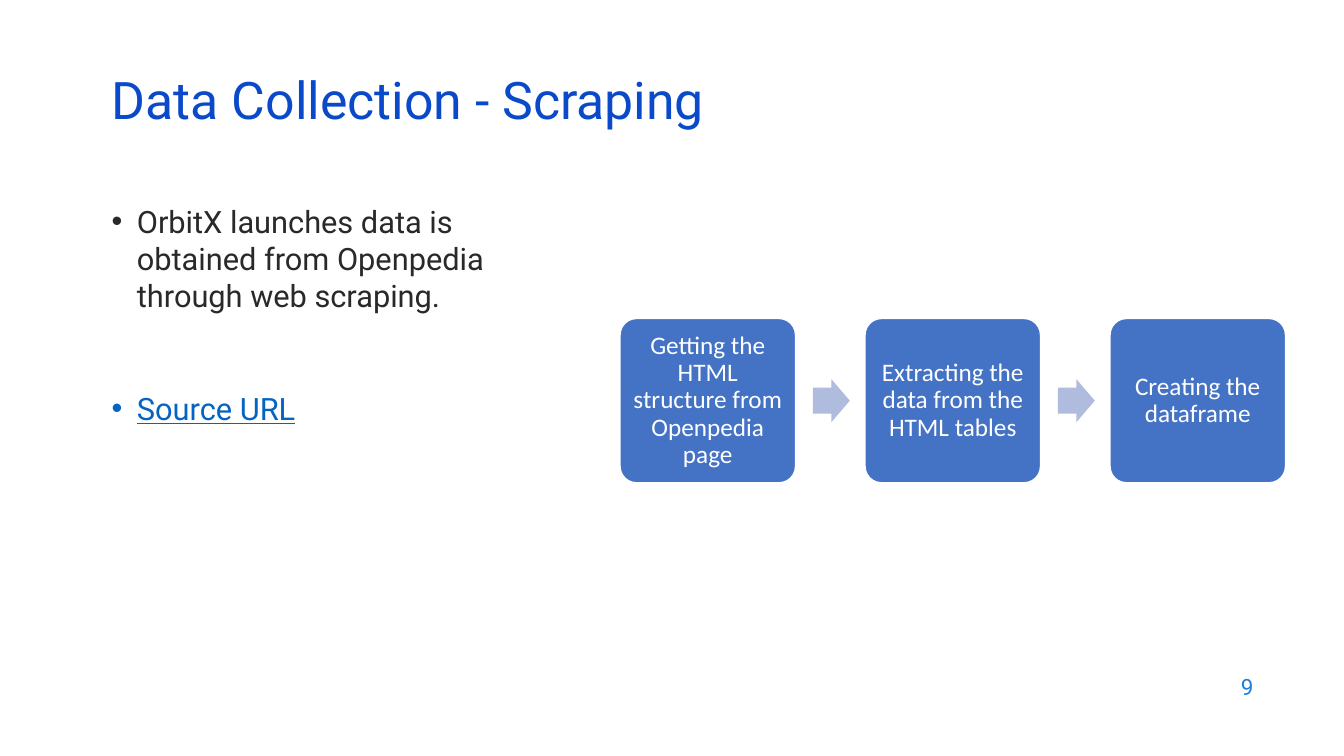
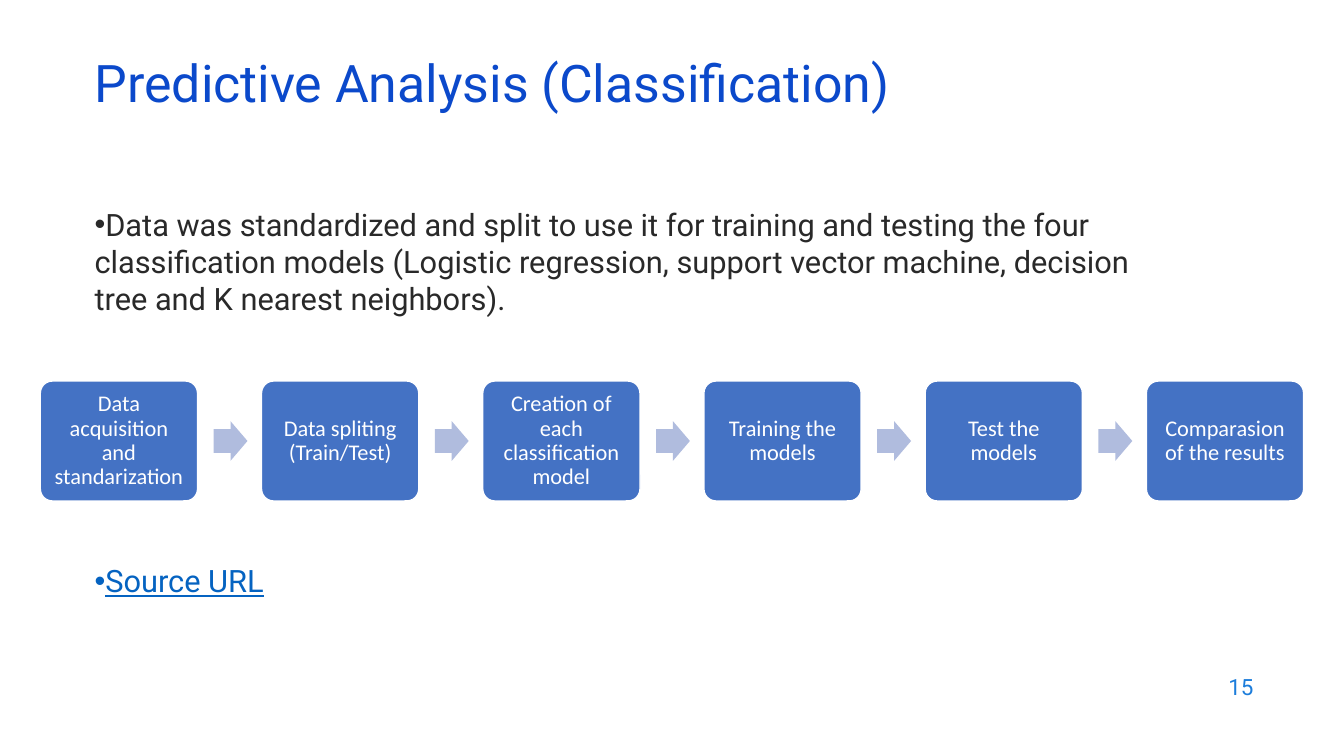
from dataclasses import dataclass

from lxml import etree
from pptx import Presentation
from pptx import util as u
from pptx.dml.color import RGBColor
from pptx.enum import shapes, text
from pptx.oxml import ns

Inches, Pt = u.Inches, u.Pt
TITLE_ONLY = 5
BODY_FONT, FLOW_FONT = "Roboto", "Calibri"
STEP_INSET = 0.07
COLORS = {
    "title": "0B49CB",
    "body": "292929",
    "link": "0563C1",
    "number": "1C7DDB",
    "step": "4472C4",
    "arrow": "B0BCDE",
    "white": "FFFFFF",
}


@dataclass(frozen=True)
class Box:
    left: float
    top: float
    width: float
    height: float

    def lengths(self) -> tuple:
        return tuple(Inches(v) for v in (self.left, self.top, self.width, self.height))


@dataclass(frozen=True)
class Bullet:
    words: str
    color: str = "body"
    underline: bool = False
    space_before: float = 0


@dataclass(frozen=True)
class Flow:
    first: Box
    right: float
    size: float
    steps: tuple[str, ...]


@dataclass(frozen=True)
class Page:
    title: str
    title_box: Box
    body_box: Box
    hanging: float
    bullets: tuple[Bullet, ...]
    flow: Flow
    number: str


NUMBER_BOX = Box(9.53, 6.59, 3, 0.44)

PAGES = (
    Page(
        "Data Collection - Scraping",
        Box(1.01, 0.76, 11.5, 0.6),
        Box(1.01, 1.96, 4.3, 4.17),
        0.25,
        (
            Bullet("OrbitX launches data is obtained from Openpedia through web scraping."),
            Bullet("Source URL", "link", True, 54.5),
        ),
        Flow(
            Box(6.15, 3.16, 1.74, 1.63), 12.75, 18,
            (
                "Getting the HTML structure from Openpedia page",
                "Extracting the data from the HTML tables",
                "Creating the dataframe",
            ),
        ),
        "9",
    ),
    Page(
        "Predictive Analysis (Classification)",
        Box(0.84, 0.59, 11.5, 0.6),
        Box(0.84, 1.99, 10.66, 4.76),
        0,
        (
            Bullet(
                "Data was standardized and split to use it for training and testing "
                "the four classification models (Logistic regression, support vector "
                "machine, decision tree and K nearest neighbors)."
            ),
            Bullet("Source URL", "link", True, 175.5),
        ),
        Flow(
            Box(0.4, 3.78, 1.56, 1.19), 12.93, 16,
            (
                "Data acquisition and standarization",
                "Data spliting (Train/Test)",
                "Creation of each classification model",
                "Training the models",
                "Test the models",
                "Comparasion of the results",
            ),
        ),
        "15",
    ),
)


def rgb(name: str) -> RGBColor:
    return RGBColor.from_string(COLORS[name])


def add_run(p, words: str, size: float, color: str, font: str = BODY_FONT):
    r = p.add_run()
    r.text = words
    r.font.size = Pt(size)
    r.font.name = font
    r.font.color.rgb = rgb(color)
    return r


def set_bullet(p, hanging: float) -> None:
    pPr = p._p.get_or_add_pPr()
    pPr.set("marL", str(Inches(hanging)))
    pPr.set("indent", str(-Inches(hanging)))
    etree.SubElement(pPr, ns.qn("a:buFont")).set("typeface", "Arial")
    etree.SubElement(pPr, ns.qn("a:buChar")).set("char", "•")


def add_title(s, words: str, box: Box) -> None:
    sp = s.shapes.title
    sp.left, sp.top, sp.width, sp.height = box.lengths()
    tf = sp.text_frame
    tf.word_wrap = True
    tf.auto_size = text.MSO_AUTO_SIZE.NONE
    tf.vertical_anchor = text.MSO_ANCHOR.MIDDLE
    p = tf.paragraphs[0]
    p.alignment = text.PP_ALIGN.LEFT
    p.line_spacing = 0.7
    add_run(p, words, 37, "title")


def add_bullets(s, page: Page) -> None:
    tf = s.shapes.add_textbox(*page.body_box.lengths()).text_frame
    tf.word_wrap = True
    for i, bullet in enumerate(page.bullets):
        p = tf.add_paragraph() if i else tf.paragraphs[0]
        set_bullet(p, page.hanging)
        if bullet.space_before:
            p.space_before = Pt(bullet.space_before)
        r = add_run(p, bullet.words, 22, bullet.color)
        if bullet.underline:
            r.font.underline = True


def add_number(s, number: str) -> None:
    tf = s.shapes.add_textbox(*NUMBER_BOX.lengths()).text_frame
    tf.word_wrap = True
    tf.vertical_anchor = text.MSO_ANCHOR.MIDDLE
    p = tf.paragraphs[0]
    p.alignment = text.PP_ALIGN.RIGHT
    add_run(p, number, 16, "number")


def add_filled(s, preset, box: Box, color: str, adjustments: tuple[float, ...]):
    sp = s.shapes.add_shape(preset, *box.lengths())
    sp.shadow.inherit = False
    sp.fill.solid()
    sp.fill.fore_color.rgb = rgb(color)
    sp.line.fill.background()
    for i, value in enumerate(adjustments):
        sp.adjustments[i] = value
    return sp


def add_step(s, box: Box, words: str, size: float) -> None:
    sp = add_filled(s, shapes.MSO_SHAPE.ROUNDED_RECTANGLE, box, "step", (0.1,))
    sp.line.color.rgb = rgb("white")
    sp.line.width = Pt(1)
    tf = sp.text_frame
    tf.word_wrap = True
    tf.vertical_anchor = text.MSO_ANCHOR.MIDDLE
    tf.margin_left = tf.margin_right = Inches(STEP_INSET)
    tf.margin_top = tf.margin_bottom = Inches(STEP_INSET)
    p = tf.paragraphs[0]
    p.alignment = text.PP_ALIGN.CENTER
    p.line_spacing = 0.9
    add_run(p, words, size, "white", FLOW_FONT)


def add_flow(s, flow: Flow) -> None:
    first = flow.first
    last = len(flow.steps) - 1
    pitch = (flow.right - first.left - first.width) / last
    gap = pitch - first.width
    arrow_width = 0.53 * gap
    arrow_height = 1.17 * arrow_width
    arrow_top = first.top + (first.height - arrow_height) / 2
    for i, words in enumerate(flow.steps):
        left = first.left + i * pitch
        add_step(s, Box(left, first.top, first.width, first.height), words, flow.size)
        if i < last:
            arrow_left = left + first.width + gap / 4
            arrow = Box(arrow_left, arrow_top, arrow_width, arrow_height)
            add_filled(s, shapes.MSO_SHAPE.RIGHT_ARROW, arrow, "arrow", (0.6, 0.5))


def main() -> None:
    prs = Presentation()
    prs.slide_width, prs.slide_height = Inches(13.33), Inches(7.5)
    for page in PAGES:
        s = prs.slides.add_slide(prs.slide_layouts[TITLE_ONLY])
        add_title(s, page.title, page.title_box)
        add_bullets(s, page)
        add_flow(s, page.flow)
        add_number(s, page.number)
    prs.save("out.pptx")


if __name__ == "__main__":
    main()
